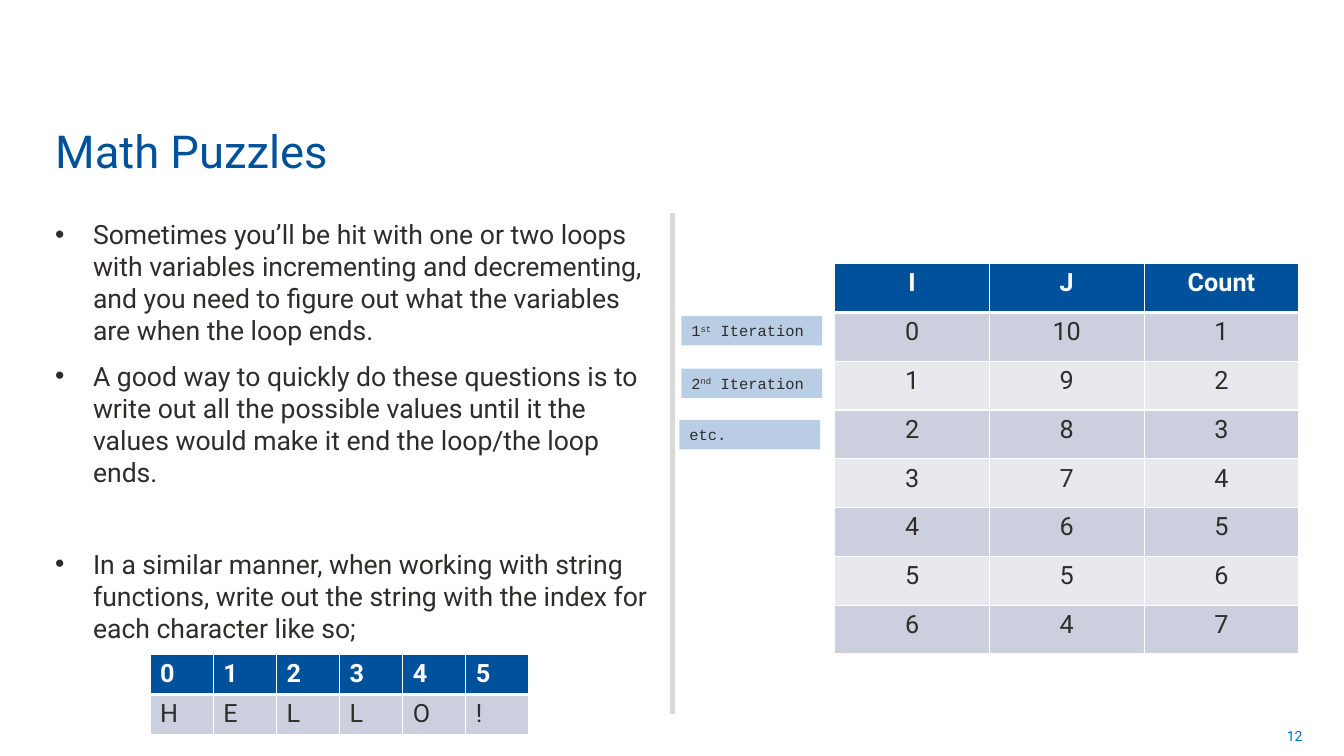
from pptx import Presentation
from pptx.dml.color import RGBColor
from pptx.enum.shapes import MSO_SHAPE
from pptx.enum.text import MSO_ANCHOR, MSO_AUTO_SIZE, PP_ALIGN
from pptx.oxml import parse_xml
from pptx.oxml.ns import nsdecls
from pptx.util import Emu, Pt

SCALE = 9525
FONT, CODE = "Roboto", "Courier New"
BLUE = RGBColor(0x00, 0x51, 0x9C)
SKY = RGBColor(0x00, 0x70, 0xC0)
PALE = RGBColor(0xB9, 0xCD, 0xE5)
INK = RGBColor(0x2E, 0x2D, 0x2C)
GRAY = RGBColor(0xD9, 0xD9, 0xD9)
WHITE = RGBColor(0xFF, 0xFF, 0xFF)
BANDS = [RGBColor(0xCC, 0xD0, 0xDE), RGBColor(0xE7, 0xE9, 0xEF)]

POINTS = [
    ("Sometimes you’ll be hit with one or two loops with variables incrementing "
     "and decrementing, and you need to figure out what the variables are when "
     "the loop ends.", 2),
    ("A good way to quickly do these questions is to write out all the possible "
     "values until it the values would make it end the loop/the loop ends.", 2),
    ("In a similar manner, when working with string functions, write out the "
     "string with the index for each character like so;", 35),
]
LOOPS = [["I", "J", "Count"]] + [[str(i), str(10 - i), str(i + 1)] for i in range(7)]
HELLO = [list("012345"), list("HELLO!")]
LABELS = [
    ((649, 301, 134, 28), [("1", 0), ("st", 30), (" Iteration", 0)]),
    ((649, 351, 134, 28), [("2", 0), ("nd", 30), (" Iteration", 0)]),
    ((647, 400, 134, 28), [("etc.", 0)]),
]


def px(*nums):
    return [Emu(round(n * SCALE)) for n in nums]


def add_run(para, text, size, color=INK, font=FONT, bold=False):
    run = para.add_run()
    run.text = text
    run.font.size = Pt(size)
    run.font.name = font
    run.font.bold = bold
    run.font.color.rgb = color
    return run


def place(shape, box):
    shape.left, shape.top, shape.width, shape.height = px(*box)
    shape.text_frame.auto_size = MSO_AUTO_SIZE.NONE
    return shape.text_frame


def add_title(slide, box):
    frame = place(slide.shapes.title, box)
    frame.vertical_anchor = MSO_ANCHOR.BOTTOM
    para = frame.paragraphs[0]
    para.alignment = PP_ALIGN.LEFT
    add_run(para, "Math Puzzles", 32.4, BLUE)


def add_list(slide, box):
    frame = place(slide.placeholders[1], box)
    for n, (text, before) in enumerate(POINTS):
        para = frame.add_paragraph() if n else frame.paragraphs[0]
        para.space_before, para.space_after = Pt(before), Pt(8)
        props = para._p.get_or_add_pPr()
        indent = px(36)[0]
        props.set("marL", str(indent))
        props.set("indent", str(-indent))
        add_run(para, text, 19)


def add_rect(slide, box, color):
    shape = slide.shapes.add_shape(MSO_SHAPE.RECTANGLE, *px(*box))
    shape.shadow.inherit = False
    shape.fill.solid()
    shape.fill.fore_color.rgb = color
    shape.line.fill.background()
    return shape


def add_label(slide, box, parts):
    frame = add_rect(slide, box, PALE).text_frame
    frame.word_wrap = True
    para = frame.paragraphs[0]
    para.alignment = PP_ALIGN.LEFT
    for text, lift in parts:
        run = add_run(para, text, 11, font=CODE)
        if lift:
            run.font._element.set("baseline", str(lift * 1000))


def set_edges(cell, row):
    """Draw white cell borders, thick between the head and the first row."""
    props = cell._tc.get_or_add_tcPr()
    thick = {(0, "lnB"), (1, "lnT")}
    for n, tag in enumerate(("lnL", "lnR", "lnT", "lnB")):
        width = Pt(3 if (row, tag) in thick else 1)
        props.insert(n, parse_xml(
            f'<a:{tag} {nsdecls("a")} w="{width}"><a:solidFill>'
            f'<a:srgbClr val="{WHITE}"/></a:solidFill></a:{tag}>'))


def add_grid(slide, box, rows, align):
    wide, high = len(rows[0]), len(rows)
    table = slide.shapes.add_table(high, wide, *px(*box)).table
    for col in table.columns:
        col.width = px(box[2] / wide)[0]
    for r, texts in enumerate(rows):
        table.rows[r].height = px(box[3] / high)[0]
        for c, text in enumerate(texts):
            cell = table.cell(r, c)
            cell.fill.solid()
            cell.fill.fore_color.rgb = BANDS[(r - 1) % 2] if r else BLUE
            set_edges(cell, r)
            para = cell.text_frame.paragraphs[0]
            para.alignment = align
            add_run(para, text, 18, INK if r else WHITE, bold=r == 0)


def add_number(slide, box):
    frame = slide.shapes.add_textbox(*px(*box)).text_frame
    frame.word_wrap = True
    frame.vertical_anchor = MSO_ANCHOR.MIDDLE
    para = frame.paragraphs[0]
    para.alignment = PP_ALIGN.RIGHT
    add_run(para, "12", 10, SKY)


def main():
    deck = Presentation()
    deck.slide_width, deck.slide_height = px(1280, 720)
    slide = deck.slides.add_slide(deck.slide_layouts[1])
    add_number(slide, (951, 682, 299, 38))
    add_rect(slide, (638, 203, 5, 477), GRAY)
    add_list(slide, (43, 203, 586, 477))
    add_grid(slide, (795, 251, 442, 372), LOOPS, PP_ALIGN.CENTER)
    add_title(slide, (43, 108, 958, 66))
    for box, parts in LABELS:
        add_label(slide, box, parts)
    add_grid(slide, (143, 623, 361, 77), HELLO, PP_ALIGN.LEFT)
    deck.save("out.pptx")


if __name__ == "__main__":
    main()
